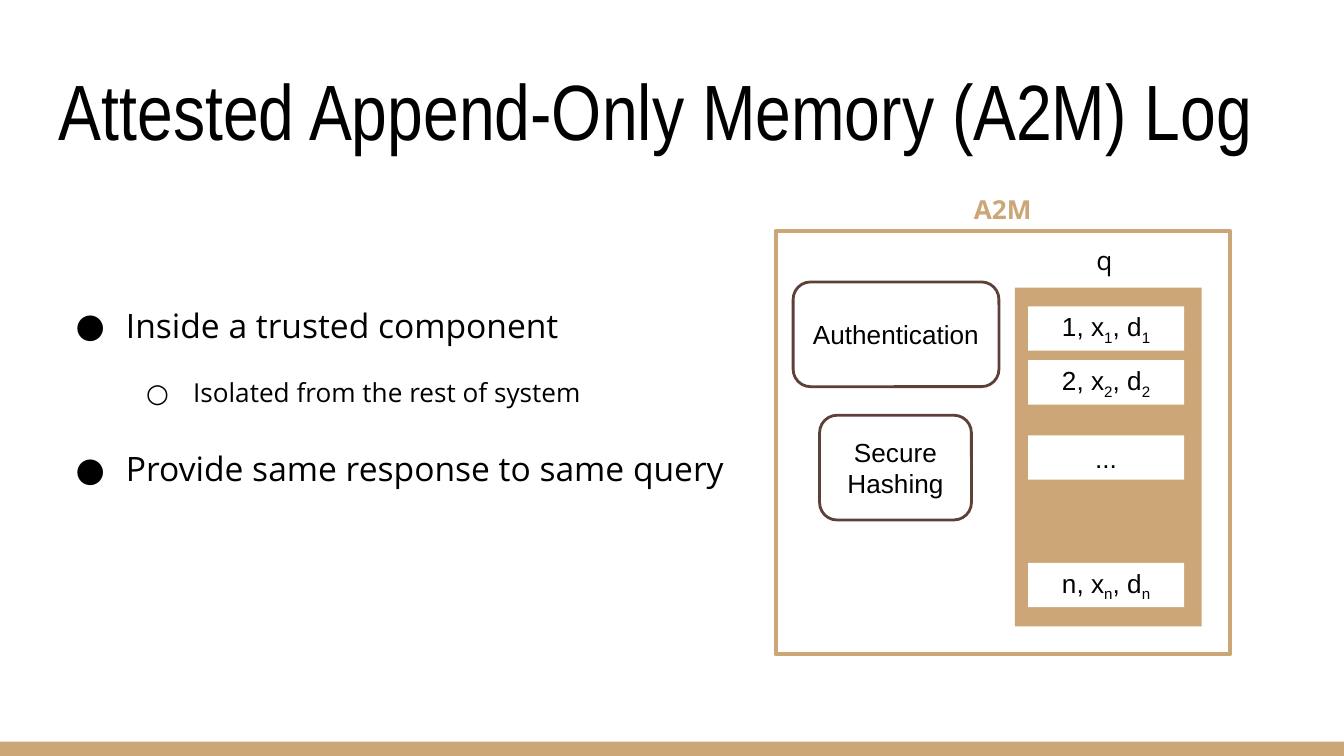
from lxml import etree
from pptx import Presentation
from pptx.dml.color import RGBColor
from pptx.enum.shapes import MSO_SHAPE
from pptx.enum.text import MSO_ANCHOR, MSO_AUTO_SIZE, PP_ALIGN
from pptx.oxml.ns import qn
from pptx.util import Cm, Pt

RECTANGLE = MSO_SHAPE.RECTANGLE
ROUNDED = MSO_SHAPE.ROUNDED_RECTANGLE
TOP, MIDDLE, BOTTOM = MSO_ANCHOR.TOP, MSO_ANCHOR.MIDDLE, MSO_ANCHOR.BOTTOM
LEFT, CENTER = PP_ALIGN.LEFT, PP_ALIGN.CENTER

COLORS = {"tan": "CCA677", "brown": "5D4037", "black": "000000", "white": "FFFFFF"}

TITLE_FONT = {"name": "Arial Narrow", "size": Pt(42), "bold": False}
BODY_FONT = {"name": "Open Sans", "size": Pt(18), "bold": False}
DETAIL_FONT = {**BODY_FONT, "size": Pt(14)}
HEADING_FONT = {**DETAIL_FONT, "bold": True}
BOX_FONT = {"name": "Arial", "size": Pt(14), "bold": False}

# Per level: bullet, left margin, hanging indent, font
BULLET_LEVELS = [
    ("●", Cm(1.27), Cm(-0.95), BODY_FONT),
    ("○", Cm(2.54), Cm(-0.89), DETAIL_FONT),
]
BULLETS = [
    (0, "Inside a trusted component"),
    (1, "Isolated from the rest of system"),
    (0, "Provide same response to same query"),
]

LOG_ENTRIES = [("1", 5.79), ("2", 6.81), ("...", 8.23), ("n", 10.64)]
COMPONENTS = [
    ("Authentication", (14.99, 5.33, 3.89, 1.98)),
    ("Secure Hashing", (15.49, 7.85, 2.87, 1.98)),
]


def color(name):
    return RGBColor.from_string(COLORS[name])


def set_attributes(target, values):
    for name, value in values.items():
        setattr(target, name, value)


def place(shape, box):
    for name, length in zip(("left", "top", "width", "height"), box):
        setattr(shape, name, Cm(length))


def prepare_frame(shape, anchor):
    frame = shape.text_frame
    set_attributes(frame, {
        "word_wrap": True,
        "auto_size": MSO_AUTO_SIZE.NONE,
        "vertical_anchor": anchor,
        "margin_left": Cm(0.25),
        "margin_right": Cm(0.25),
        "margin_top": Cm(0.25),
        "margin_bottom": Cm(0.25),
    })
    return frame


def add_run(paragraph, text, font, color_name="black", subscript=False):
    run = paragraph.add_run()
    run.text = text
    set_attributes(run.font, font)
    run.font.color.rgb = color(color_name)
    if subscript:
        run.font.size = font["size"]
        run._r.get_or_add_rPr().set("baseline", "-25000")


def write_line(shape, parts, font, anchor, alignment, color_name="black"):
    """Fill a shape with one paragraph of (text, is_subscript) parts."""
    paragraph = prepare_frame(shape, anchor).paragraphs[0]
    paragraph.alignment = alignment
    for text, subscript in parts:
        add_run(paragraph, text, font, color_name, subscript)


def add_box(slide, box, kind=RECTANGLE, fill=None, line=None, line_width=1.5):
    shape = slide.shapes.add_shape(kind, *map(Cm, box))
    shape.shadow.inherit = False
    if fill:
        shape.fill.solid()
        shape.fill.fore_color.rgb = color(fill)
    else:
        shape.fill.background()
    if line:
        shape.line.color.rgb = color(line)
        shape.line.width = Pt(line_width)
    else:
        shape.line.fill.background()
    return shape


def add_label(slide, box, text, font, alignment, color_name="black"):
    label = slide.shapes.add_textbox(*map(Cm, box))
    write_line(label, [(text, False)], font, TOP, alignment, color_name)


def set_bullet(paragraph, character, margin, indent):
    properties = paragraph._p.get_or_add_pPr()
    properties.set("marL", str(margin))
    properties.set("indent", str(indent))
    bullet_color = etree.SubElement(properties, qn("a:buClr"))
    etree.SubElement(bullet_color, qn("a:srgbClr")).set("val", COLORS["black"])
    etree.SubElement(properties, qn("a:buFont")).set("typeface", BODY_FONT["name"])
    etree.SubElement(properties, qn("a:buChar")).set("char", character)


def fill_title(slide):
    title = slide.shapes.title
    place(title, (0.86, 0.89, 23.67, 2.31))
    write_line(title, [("Attested Append-Only Memory (A2M) Log", False)],
               TITLE_FONT, BOTTOM, LEFT)


def fill_body(slide):
    body = slide.placeholders[1]
    place(body, (0.86, 4.75, 13.49, 7.98))
    frame = prepare_frame(body, TOP)
    for index, (level, text) in enumerate(BULLETS):
        paragraph = frame.add_paragraph() if index else frame.paragraphs[0]
        character, margin, indent, font = BULLET_LEVELS[level]
        set_bullet(paragraph, character, margin, indent)
        set_attributes(paragraph, {
            "level": level,
            "alignment": LEFT,
            "line_spacing": 2.0,
            "space_before": Pt(0),
            "space_after": Pt(0),
        })
        add_run(paragraph, text, font)


def add_log_entry(slide, key, top):
    if key == "...":
        parts = [(key, False)]
    else:
        parts = [(f"{key}, x", False), (key, True), (", d", False), (key, True)]
    entry = add_box(slide, (19.43, top, 2.95, 0.84), fill="white")
    write_line(entry, parts, BOX_FONT, MIDDLE, CENTER)


def add_memory_diagram(slide):
    add_box(slide, (14.66, 4.37, 8.59, 8), line="tan", line_width=2.25)
    add_label(slide, (16.69, 3.4, 4.52, 0.97), "A2M", HEADING_FONT, CENTER, "tan")
    add_box(slide, (19.18, 5.44, 3.53, 6.4), fill="tan")
    add_label(slide, (20.47, 4.37, 0.89, 1.27), "q", DETAIL_FONT, LEFT)
    for key, top in LOG_ENTRIES:
        add_log_entry(slide, key, top)
    for text, box in COMPONENTS:
        component = add_box(slide, box, ROUNDED, line="brown")
        write_line(component, [(text, False)], BOX_FONT, MIDDLE, CENTER)


def main():
    presentation = Presentation()
    presentation.slide_width = Cm(25.4)
    presentation.slide_height = Cm(14.29)
    slide = presentation.slides.add_slide(presentation.slide_layouts[1])
    add_box(slide, (0, 14.02, 25.4, 0.27), fill="tan")
    fill_title(slide)
    fill_body(slide)
    add_memory_diagram(slide)
    presentation.save("out.pptx")


if __name__ == "__main__":
    main()
